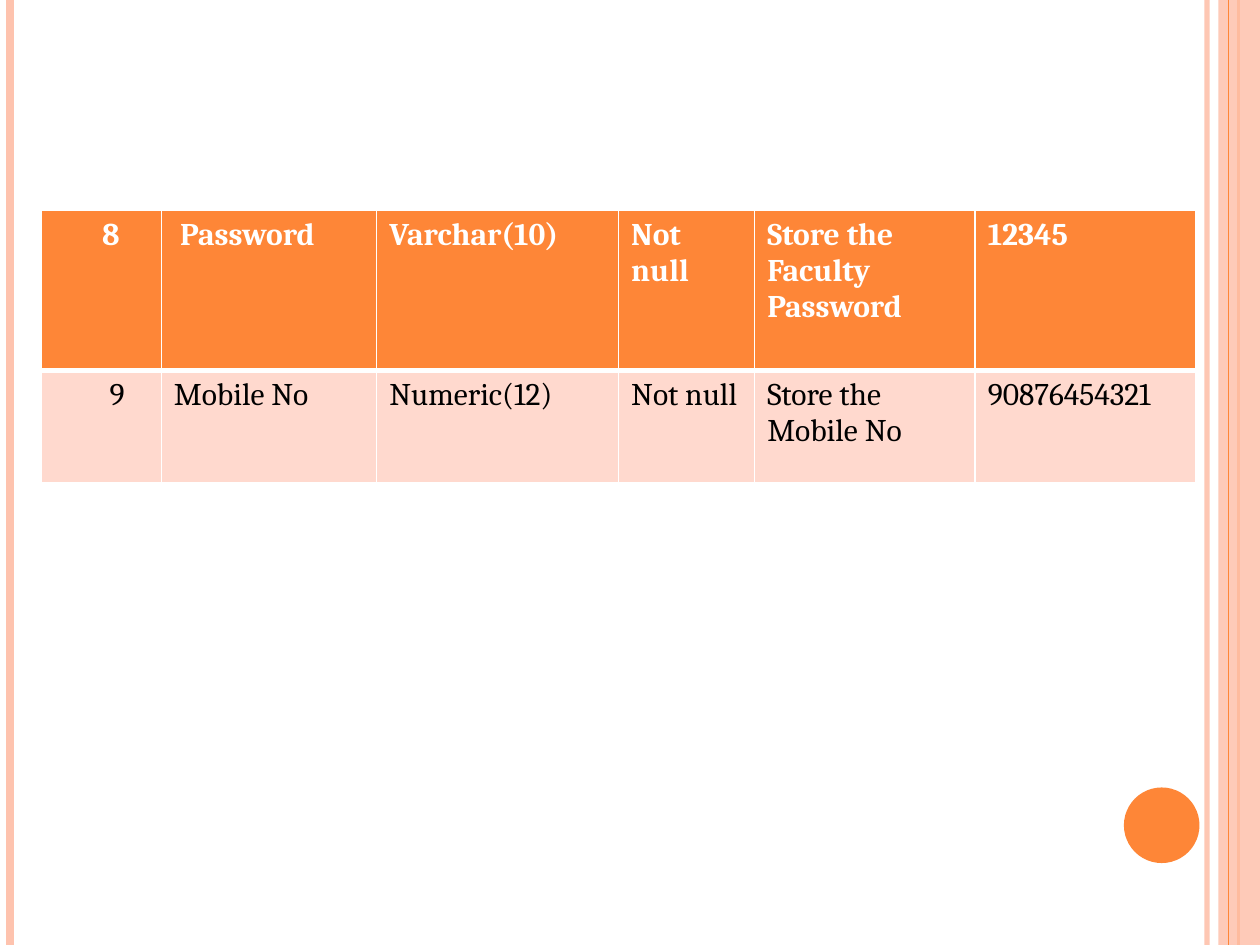
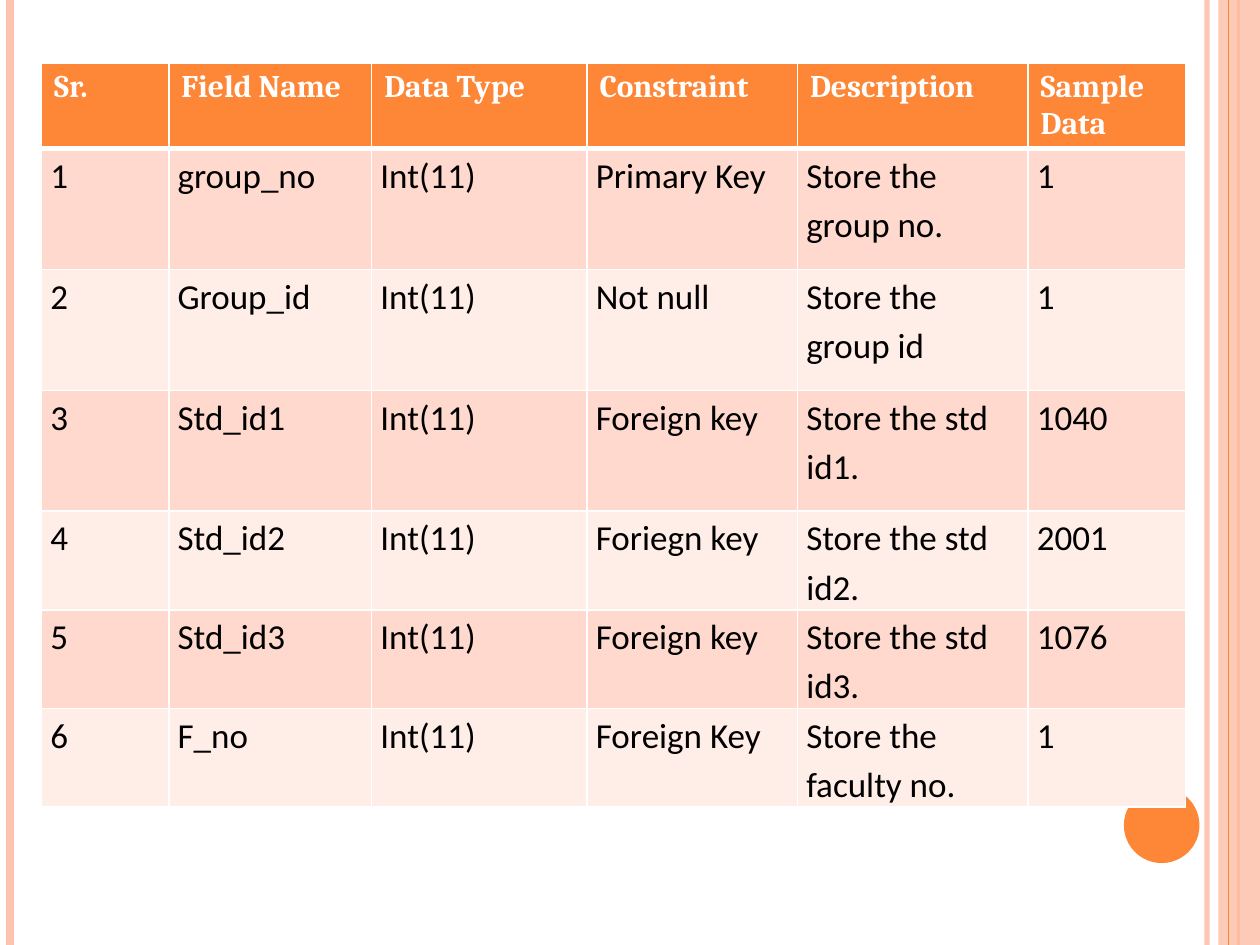
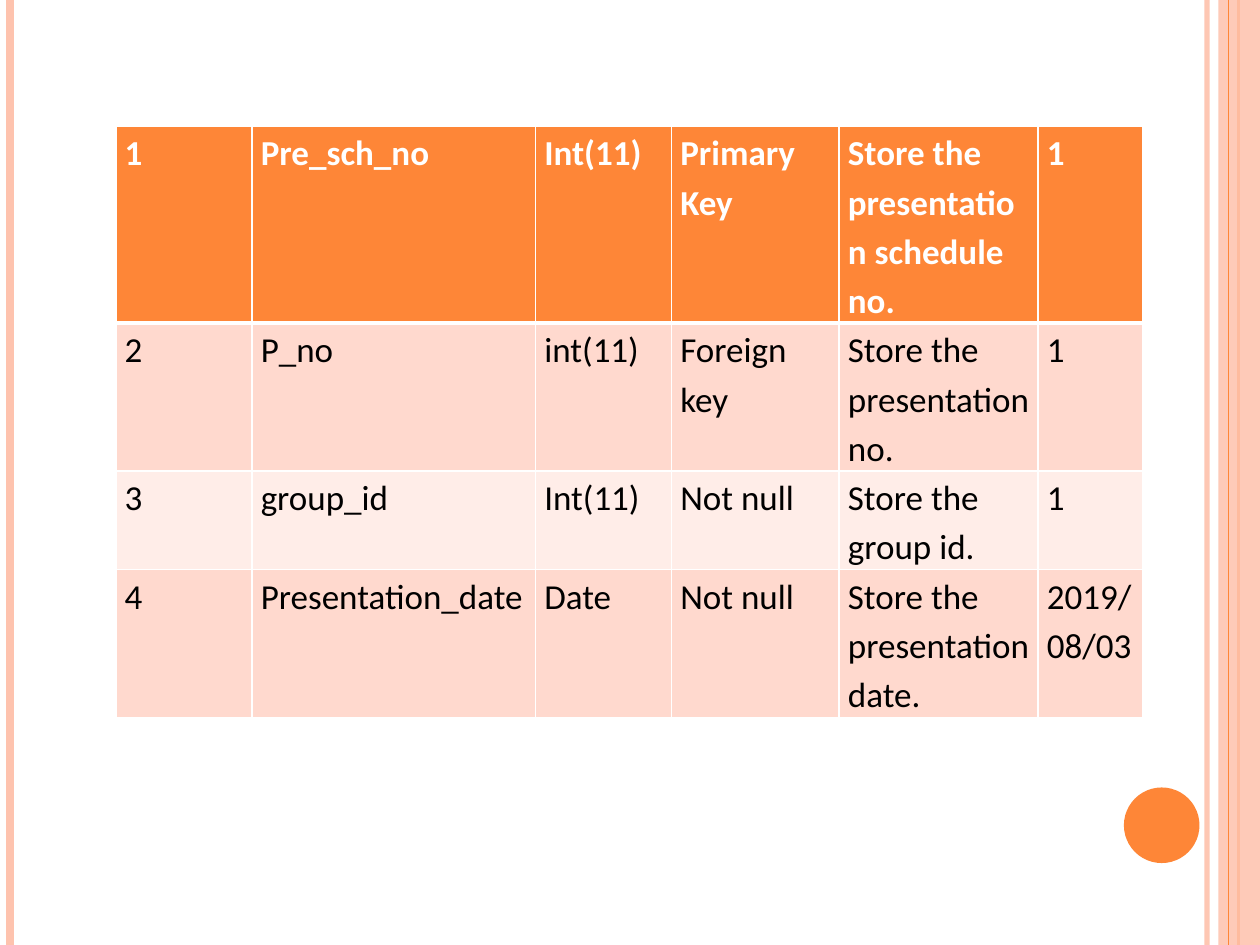
"""Build three data dictionary slides: faculty, group and presentation schedule fields."""
from lxml import etree
from pptx import Presentation
from pptx.dml.color import RGBColor
from pptx.enum.shapes import MSO_CONNECTOR, MSO_SHAPE
from pptx.oxml.ns import qn
from pptx.util import Inches, Pt

STRAIGHT = MSO_CONNECTOR.STRAIGHT
RECTANGLE = MSO_SHAPE.RECTANGLE
OVAL = MSO_SHAPE.OVAL

ORANGE = RGBColor(0xFE, 0x86, 0x37)
PEACH = RGBColor(0xFE, 0xC3, 0xAE)
DARK_BAND = RGBColor(0xFF, 0xD9, 0xCE)
LIGHT_BAND = RGBColor(0xFF, 0xED, 0xE8)
WHITE = RGBColor(0xFF, 0xFF, 0xFF)
BLACK = RGBColor(0x00, 0x00, 0x00)

CAMBRIA = dict(font="Cambria", size=18, side=0.1, top=0.05, spacing=None)
CALIBRI = dict(font="Calibri", size=20, side=0.07, top=0, spacing=1.15)


def write_cell(cell, text, *, font, size, side, top, spacing, color, bold, indent=0):
    cell.margin_left = Inches(side + indent)
    cell.margin_right = Inches(side)
    cell.margin_top = cell.margin_bottom = Inches(top)
    cell.text = text
    paragraph = cell.text_frame.paragraphs[0]
    paragraph.line_spacing = spacing
    run_font = paragraph.runs[0].font
    run_font.name = font
    run_font.size = Pt(size)
    run_font.bold = bold
    run_font.color.rgb = color


def set_opacity(shape, percent):
    for color in shape.element.iter(qn("a:srgbClr")):
        etree.SubElement(color, qn("a:alpha"), val=str(percent * 1000))


prs = Presentation()
prs.slide_width = Inches(10)
prs.slide_height = Inches(7.5)
layout = prs.slide_layouts[6]
for placeholder in list(layout.placeholders):
    layout.shapes.element.remove(placeholder.element)

first_slide = prs.slides.add_slide(layout)
decor = first_slide.shapes
for x, color, width, opacity in [
    (9.58, PEACH, 3, 93),
    (0.08, PEACH, 4.5, 100),
    (9.83, ORANGE, 1.5, 100),
    (9.75, ORANGE, 0.75, 100),
]:
    stripe = decor.add_connector(STRAIGHT, Inches(x), 0, Inches(x), prs.slide_height)
    stripe.line.color.rgb = color
    stripe.line.width = Pt(width)
    etree.SubElement(stripe.element.spPr, qn("a:effectLst"))
    if opacity < 100:
        set_opacity(stripe, opacity)
    if x == 9.83:
        band = decor.add_shape(RECTANGLE, Inches(9.67), 0, Inches(0.33), prs.slide_height)
        band.fill.solid()
        band.fill.fore_color.rgb = PEACH
        band.line.fill.background()
        band.shadow.inherit = False
        set_opacity(band, 87)

number_disc = decor.add_shape(OVAL, Inches(8.92), Inches(6.25), Inches(0.6), Inches(0.6))
number_disc.fill.solid()
number_disc.fill.fore_color.rgb = ORANGE
number_disc.line.fill.background()
number_disc.shadow.inherit = False

for shape in list(decor):
    layout.shapes.element.append(shape.element)

FIELD_TABLES = [
    dict(
        left=0.33, top=1.67, columns=[0.95, 1.71, 1.92, 1.08, 1.75, 1.75],
        heights=[1.27, 0.89], header_style=CAMBRIA, body_style=CAMBRIA,
        indents={(0, 0): 0.38, (0, 1): 0.05, (1, 0): 0.44},
        rows=[
            ["8", "Password", "Varchar(10)", "Not null", "Store the Faculty Password", "12345"],
            ["9", "Mobile No", "Numeric(12)", "Not null", "Store the Mobile No", "90876454321"],
        ],
    ),
    dict(
        left=0.33, top=0.5, columns=[1.01, 1.61, 1.71, 1.67, 1.83, 1.25],
        heights=[0.39] + [0.96] * 3 + [0.67] * 3, header_style=CAMBRIA, body_style=CALIBRI,
        indents={},
        rows=[
            ["Sr.", "Field Name", "Data Type", "Constraint", "Description", "Sample Data"],
            ["1", "group_no", "Int(11)", "Primary Key", "Store the group no.", "1"],
            ["2", "Group_id", "Int(11)", "Not null", "Store the group id", "1"],
            ["3", "Std_id1", "Int(11)", "Foreign key", "Store the std id1.", "1040"],
            ["4", "Std_id2", "Int(11)", "Foriegn key", "Store the std id2.", "2001"],
            ["5", "Std_id3", "Int(11)", "Foreign key", "Store the std id3.", "1076"],
            ["6", "F_no", "Int(11)", "Foreign Key", "Store the faculty no.", "1"],
        ],
    ),
    dict(
        left=0.92, top=1, columns=[1.08, 2.25, 1.08, 1.33, 1.58, 0.83],
        heights=[0.41] * 4, header_style=CALIBRI, body_style=CALIBRI, indents={},
        rows=[
            ["1", "Pre_sch_no", "Int(11)", "Primary Key", "Store the presentation schedule no.", "1"],
            ["2", "P_no", "int(11)", "Foreign key", "Store the presentation no.", "1"],
            ["3", "group_id", "Int(11)", "Not null", "Store the group id.", "1"],
            ["4", "Presentation_date", "Date", "Not null", "Store the presentation date.", "2019/08/03"],
        ],
    ),
]

for index, fields in enumerate(FIELD_TABLES):
    slide = prs.slides.add_slide(layout) if index else first_slide
    columns, heights = fields["columns"], fields["heights"]
    table = slide.shapes.add_table(
        len(heights), len(columns), Inches(fields["left"]), Inches(fields["top"]),
        Inches(sum(columns)), Inches(sum(heights)),
    ).table
    for column, width in zip(table.columns, columns):
        column.width = Inches(width)
    for r, values in enumerate(fields["rows"]):
        table.rows[r].height = Inches(heights[r])
        header = r == 0
        style = fields["header_style"] if header else fields["body_style"]
        row_fill = ORANGE if header else (LIGHT_BAND, DARK_BAND)[r % 2]
        border_widths = {"L": 1, "R": 1, "T": 3 if r == 1 else 1, "B": 3 if header else 1}
        for c, value in enumerate(values):
            cell = table.cell(r, c)
            write_cell(cell, value, **style, color=WHITE if header else BLACK,
                       bold=header, indent=fields["indents"].get((r, c), 0))
            properties = cell._tc.get_or_add_tcPr()
            for edge, width in border_widths.items():
                border = etree.SubElement(properties, qn("a:ln" + edge), w=str(Pt(width)))
                border_fill = etree.SubElement(border, qn("a:solidFill"))
                etree.SubElement(border_fill, qn("a:srgbClr"), val=str(WHITE))
            cell.fill.solid()
            cell.fill.fore_color.rgb = row_fill

prs.save("out.pptx")
